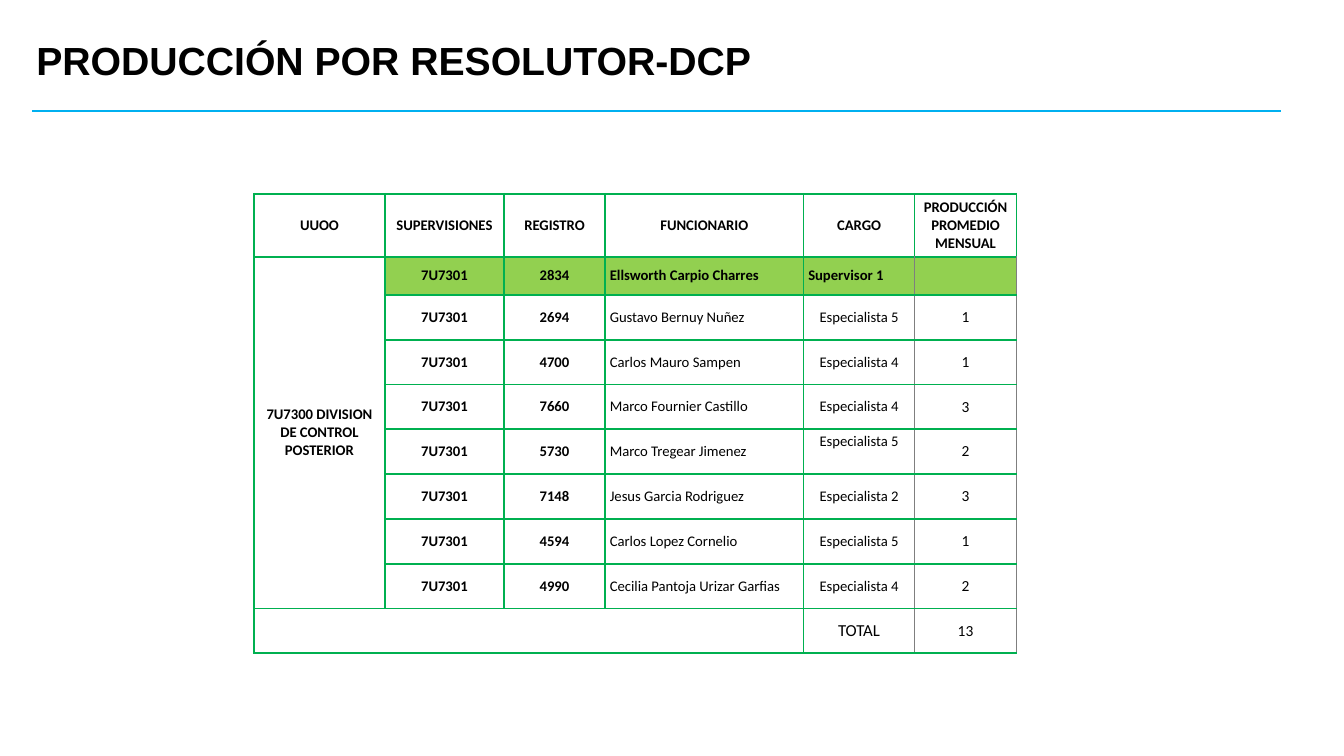
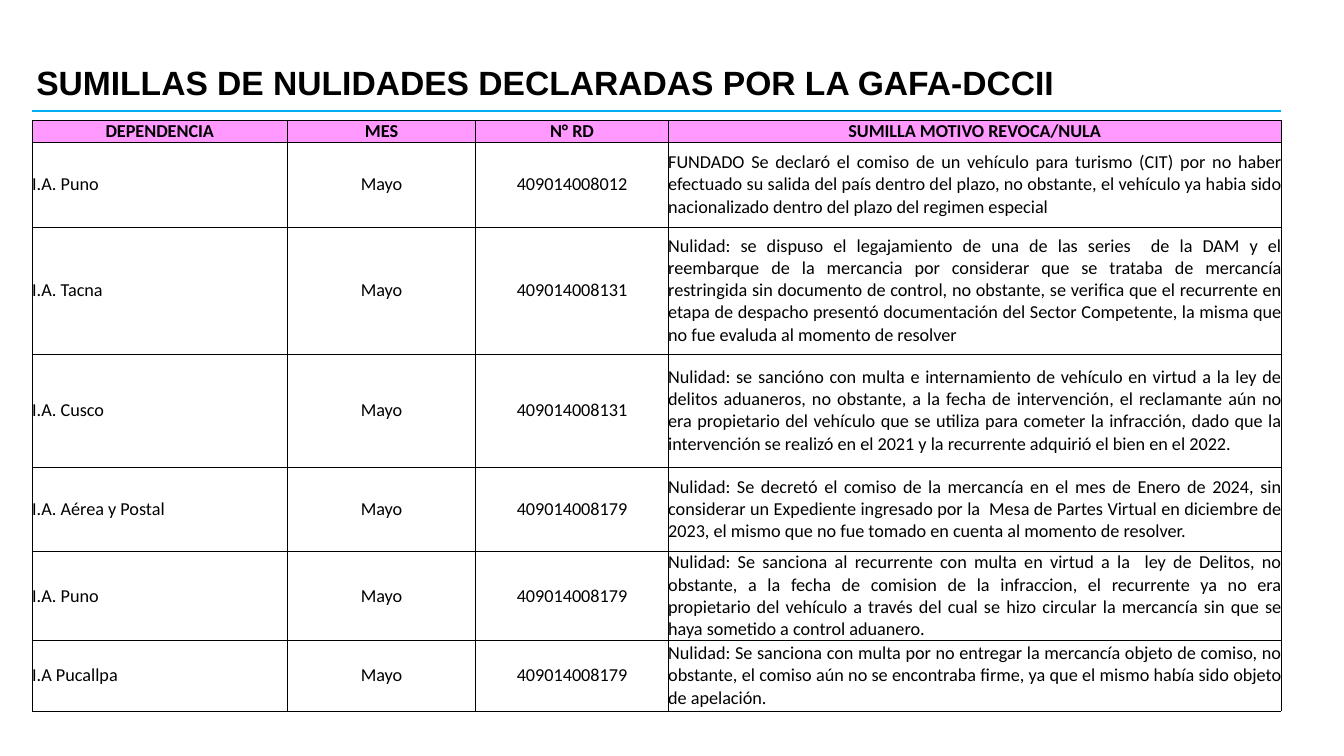
from lxml import etree
from pptx import Presentation
from pptx.dml.color import RGBColor
from pptx.enum.shapes import MSO_CONNECTOR
from pptx.enum.text import MSO_ANCHOR, MSO_AUTO_SIZE, PP_ALIGN as AL
from pptx.oxml import parse_xml
from pptx.oxml.ns import nsdecls, qn
from pptx.util import Cm, Pt

rgb = RGBColor.from_string
BLACK, SKY, GREEN, LIME, PINK, GRAY = "000000", "00B0F0", "00B050", "92D050", "FF99FF", "7F7F7F"

prs = Presentation()
prs.slide_width, prs.slide_height = Cm(33.87), Cm(19.05)


def add_table_slide(title, size, title_box, left, top, widths, heights):
    s = prs.slides.add_slide(prs.slide_layouts[5])
    sp = s.shapes.title
    sp.left, sp.top, sp.width, sp.height = [Cm(v) for v in title_box]
    tf = sp.text_frame
    tf.text = title
    tf.word_wrap = True
    tf.auto_size = MSO_AUTO_SIZE.NONE
    tf.vertical_anchor = MSO_ANCHOR.MIDDLE
    p = tf.paragraphs[0]
    p.alignment, p.line_spacing = AL.LEFT, 0.9
    p.font.name, p.font.size, p.font.bold = "Arial", Pt(size), True
    p.font.color.rgb = rgb(BLACK)

    rule = s.shapes.add_connector(MSO_CONNECTOR.STRAIGHT, Cm(0.81), Cm(2.79), Cm(32.28), Cm(2.79))
    rule.line.color.rgb, rule.line.width = rgb(SKY), Pt(1.5)
    etree.SubElement(rule._element.spPr, qn("a:effectLst"))

    tbl = s.shapes.add_table(len(heights), len(widths), Cm(left), Cm(top),
                             Cm(sum(widths)), Cm(sum(heights))).table
    tbl.first_row = tbl.horz_banding = False
    for col, w in zip(tbl.columns, widths):
        col.width = Cm(w)
    for row, h in zip(tbl.rows, heights):
        row.height = Cm(h)
    return tbl


def fill_cell(cell, text, size, bold, align, margin, fill, edges):
    cell.margin_left = cell.margin_right = Cm(margin)
    cell.margin_top = cell.margin_bottom = 0
    cell.vertical_anchor = MSO_ANCHOR.MIDDLE
    tcPr = cell._tc.get_or_add_tcPr()
    for side, (color, width) in edges.items():
        tcPr.append(parse_xml(
            f'<a:ln{side} {nsdecls("a")} w="{Pt(width)}"><a:solidFill>'
            f'<a:srgbClr val="{color}"/></a:solidFill></a:ln{side}>'))
    if fill:
        cell.fill.solid()
        cell.fill.fore_color.rgb = rgb(fill)
    else:
        cell.fill.background()
    cell.text = text
    p = cell.text_frame.paragraphs[0]
    p.alignment = align
    p.font.name, p.font.size, p.font.bold = "Calibri", Pt(size), bold
    p.font.color.rgb = rgb(BLACK)


staff = [
    ("2694", "Gustavo Bernuy Nuñez", "Especialista 5", "1"),
    ("4700", "Carlos Mauro Sampen", "Especialista 4", "1"),
    ("7660", "Marco Fournier Castillo", "Especialista 4", "3"),
    ("5730", "Marco Tregear Jimenez", "Especialista 5", "2"),
    ("7148", "Jesus Garcia Rodriguez", "Especialista 2", "3"),
    ("4594", "Carlos Lopez Cornelio", "Especialista 5", "1"),
    ("4990", "Cecilia Pantoja Urizar Garfias", "Especialista 4", "2"),
]
output_rows = [
    ("UUOO", "SUPERVISIONES", "REGISTRO", "FUNCIONARIO", "CARGO", "PRODUCCIÓN PROMEDIO MENSUAL"),
    ("7U7300 DIVISION DE CONTROL POSTERIOR", "7U7301", "2834", "Ellsworth Carpio Charres",
     "Supervisor 1", ""),
    *[("", "7U7301", *person) for person in staff],
    ("", "", "", "", "TOTAL", "13"),
]
tbl = add_table_slide("PRODUCCIÓN POR RESOLUTOR-DCP", 28, (0.66, 0.69, 29.21, 1.78),
                      6.4, 4.88, [3.3, 3, 2.55, 5, 2.8, 2.57], [1.59, 0.96] + [1.13] * 8)
for i, row in enumerate(output_rows):
    for j, text in enumerate(row):
        edges = {side: (GREEN, 1.5) for side in "LRTB"}
        if i and j == 5:
            edges["L"] = edges["R"] = (GRAY, 0.75)
        if i and j == 4:
            edges["R"] = (GRAY, 0.75)
        size = 12 if text == "TOTAL" else 11 if i > 1 and j == 5 else 10.5
        align = AL.LEFT if i and j == 3 or i == 1 and j == 4 else AL.CENTER
        fill_cell(tbl.cell(i, j), text, size, i < 2 or j < 3, align, 0.12,
                  LIME if i == 1 and j else None, edges)
tbl.cell(5, 4).margin_bottom = Cm(0.5)
tbl.cell(1, 0).merge(tbl.cell(8, 0))
tbl.cell(9, 0).merge(tbl.cell(9, 3))

rulings = [
    ("DEPENDENCIA", "MES", "N° RD", "SUMILLA MOTIVO REVOCA/NULA"),
    ("I.A. Puno", "Mayo", "409014008012",
     "FUNDADO Se declaró el comiso de un vehículo para turismo (CIT) por no haber efectuado su "
     "salida del país dentro del plazo, no obstante, el vehículo ya habia sido nacionalizado "
     "dentro del plazo del regimen especial"),
    ("I.A. Tacna", "Mayo", "409014008131",
     "Nulidad: se dispuso el legajamiento de una de las series  de la DAM y el reembarque de la "
     "mercancia por considerar que se trataba de mercancía restringida sin documento de control, "
     "no obstante, se verifica que el recurrente en etapa de despacho presentó documentación del "
     "Sector Competente, la misma que no fue evaluda al momento de resolver"),
    ("I.A. Cusco", "Mayo", "409014008131",
     "Nulidad: se sancióno con multa e internamiento de vehículo en virtud a la ley de delitos "
     "aduaneros, no obstante, a la fecha de intervención, el reclamante aún no era propietario "
     "del vehículo que se utiliza para cometer la infracción, dado que la intervención se realizó "
     "en el 2021 y la recurrente adquirió el bien en el 2022."),
    ("I.A. Aérea y Postal", "Mayo", "409014008179",
     "Nulidad: Se decretó el comiso de la mercancía en el mes de Enero de 2024, sin considerar un "
     "Expediente ingresado por la  Mesa de Partes Virtual en diciembre de 2023, el mismo que no "
     "fue tomado en cuenta al momento de resolver."),
    ("I.A. Puno", "Mayo", "409014008179",
     "Nulidad: Se sanciona al recurrente con multa en virtud a la  ley de Delitos, no obstante, a "
     "la fecha de comision de la infraccion, el recurrente ya no era propietario del vehículo a "
     "través del cual se hizo circular la mercancía sin que se haya sometido a control aduanero."),
    ("I.A Pucallpa", "Mayo", "409014008179",
     "Nulidad: Se sanciona con multa por no entregar la mercancía objeto de comiso, no obstante, "
     "el comiso aún no se encontraba firme, ya que el mismo había sido objeto de apelación."),
]
tbl = add_table_slide("SUMILLAS DE NULIDADES DECLARADAS POR LA GAFA-DCCII", 24,
                      (0.66, 0.94, 29.21, 2.36), 0.81, 3.03, [6.43, 4.75, 4.85, 15.44],
                      [0.56, 2.13, 3.2, 2.85, 2.13, 2.2, 1.78])
aligns = [AL.LEFT, AL.CENTER, AL.CENTER, AL.JUSTIFY]
for i, row in enumerate(rulings):
    for j, text in enumerate(row):
        edges = {side: (BLACK, 0.5) for side in "LRTB"}
        if i == 0:
            edges["T"] = (BLACK, 1)
        fill_cell(tbl.cell(i, j), text, 13, i == 0, aligns[j] if i else AL.CENTER, 0,
                  None if i else PINK, edges)

prs.save("out.pptx")
